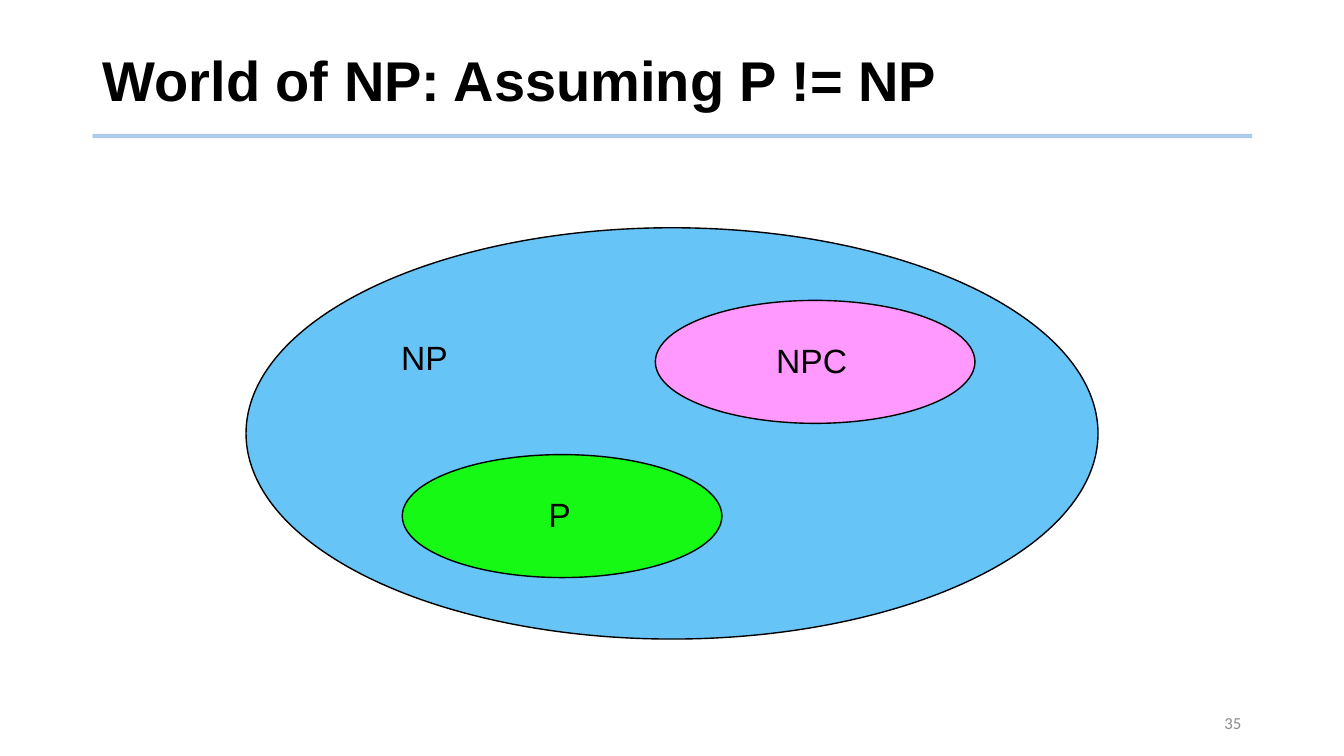
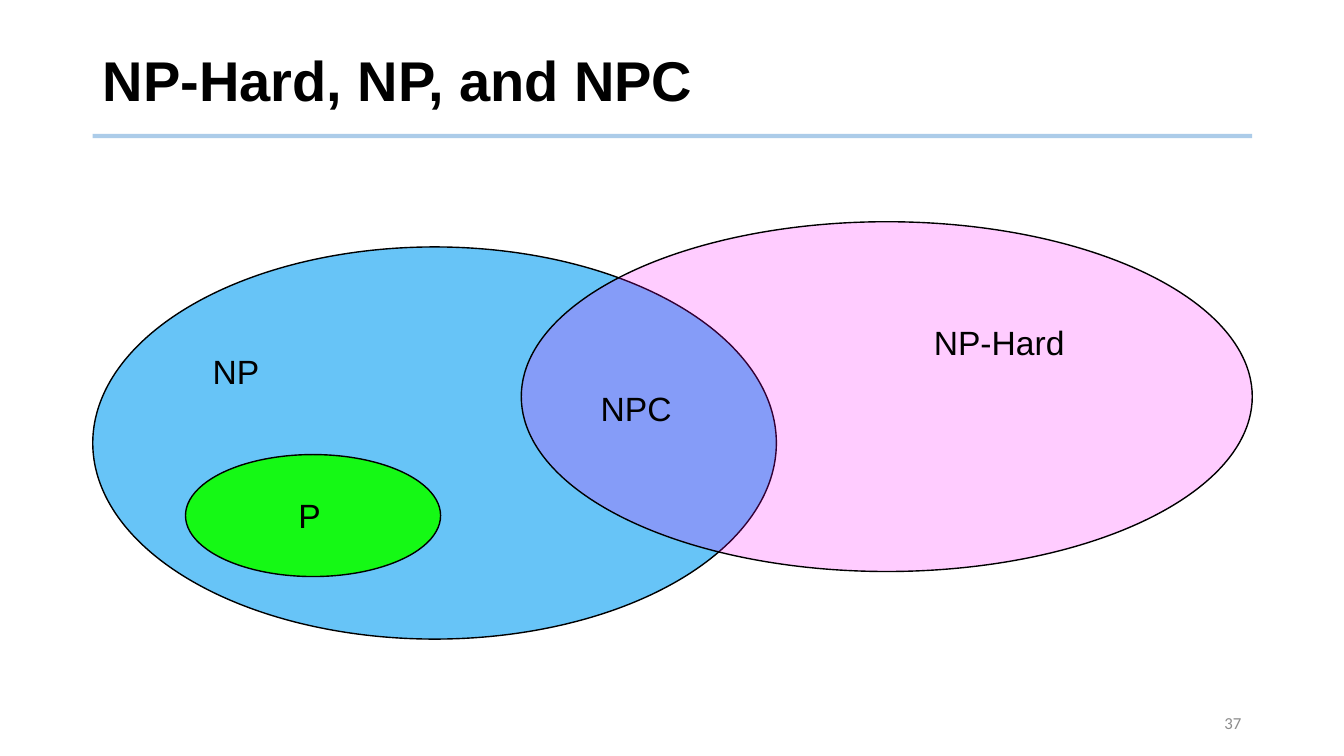
from lxml.etree import SubElement
from pptx import Presentation
from pptx.dml.color import RGBColor
from pptx.enum.shapes import MSO_CONNECTOR, MSO_SHAPE
from pptx.enum.text import MSO_ANCHOR, PP_ALIGN
from pptx.oxml.ns import qn
from pptx.util import Emu, Pt

# Shared style: 100 px to the inch
SCALE = 9144
PAGE_WIDTH, PAGE_HEIGHT = 1333, 750
LEFT, RIGHT = 92, 1242
BLACK = RGBColor(0x00, 0x00, 0x00)
GRAY = RGBColor(0x8C, 0x8C, 0x8C)
RULE_BLUE = RGBColor(0x5B, 0x9B, 0xD5)
SKY = RGBColor(0x67, 0xC4, 0xF7)
GREEN = RGBColor(0x15, 0xF9, 0x15)
PINK = RGBColor(0xFF, 0x99, 0xFF)
MAGENTA = RGBColor(0xFF, 0x00, 0xFF)

# Sets: (left, top, width, height), fill, opacity in percent
# Labels: text, centre x, centre y
SLIDES = [
    {
        "title": "World of NP: Assuming P != NP",
        "number": "35",
        "sets": [
            ((244, 226, 845, 408), SKY, 100),
            ((399, 451, 317, 122), GREEN, 100),
            ((650, 298, 317, 122), PINK, 100),
        ],
        "labels": [("NP", 421, 354), ("P", 555, 510), ("NPC", 805, 357)],
    },
    {
        "title": "NP-Hard, NP, and NPC",
        "number": "37",
        "sets": [
            ((92, 245, 678, 389), SKY, 100),
            ((184, 451, 253, 121), GREEN, 100),
            ((517, 220, 725, 347), MAGENTA, 20),
        ],
        "labels": [("NP", 234, 368), ("P", 307, 511),
                   ("NP-Hard", 991, 339), ("NPC", 631, 405)],
    },
]


def px(*lengths):
    return [Emu(length * SCALE) for length in lengths]


def set_opacity(fill_parent, percent):
    color = fill_parent.find(qn("a:solidFill")).find(qn("a:srgbClr"))
    SubElement(color, qn("a:alpha")).set("val", str(percent * 1000))


def write(frame, text, size, font="Arial", color=BLACK, align=PP_ALIGN.LEFT, bold=False):
    frame.vertical_anchor = MSO_ANCHOR.MIDDLE
    para = frame.paragraphs[0]
    para.alignment = align
    span = para.add_run()
    span.text = text
    span.font.name = font
    span.font.size = Pt(size)
    span.font.bold = bold
    span.font.color.rgb = color
    return para


def add_frame(page, title, number):
    # Rule under the title
    rule = page.shapes.add_connector(MSO_CONNECTOR.STRAIGHT, *px(LEFT, 135, RIGHT, 135))
    rule.line.color.rgb = RULE_BLUE
    rule.line.width = Pt(3)
    properties = rule.line._get_or_add_ln()
    set_opacity(properties, 50)
    SubElement(properties.getparent(), qn("a:effectLst"))

    # Title
    box = page.shapes.title
    box.left, box.top, box.width, box.height = px(LEFT, 28, RIGHT - LEFT, 110)
    write(box.text_frame, title, 40, bold=True).line_spacing = 0.9

    # Page number
    box = page.shapes.add_textbox(*px(1008, 697, 233, 40))
    box.text_frame.word_wrap = True
    write(box.text_frame, number, 12, "Calibri", GRAY, PP_ALIGN.RIGHT)


def add_set(page, bounds, color, opacity):
    ellipse = page.shapes.add_shape(MSO_SHAPE.OVAL, *px(*bounds))
    ellipse.shadow.inherit = False
    ellipse.fill.solid()
    ellipse.fill.fore_color.rgb = color
    if opacity < 100:
        set_opacity(ellipse._element.spPr, opacity)
    ellipse.line.color.rgb = BLACK
    ellipse.line.width = Pt(1)


def add_label(page, text, center_x, center_y):
    width, height = 160, 50
    box = page.shapes.add_textbox(
        *px(center_x - width // 2, center_y - height // 2, width, height))
    box.text_frame.word_wrap = True
    write(box.text_frame, text, 24, align=PP_ALIGN.CENTER)


def main():
    deck = Presentation()
    deck.slide_width, deck.slide_height = px(PAGE_WIDTH, PAGE_HEIGHT)
    title_only = deck.slide_layouts[5]
    for content in SLIDES:
        page = deck.slides.add_slide(title_only)
        add_frame(page, content["title"], content["number"])
        for item in content["sets"]:
            add_set(page, *item)
        for label in content["labels"]:
            add_label(page, *label)
    deck.save("out.pptx")


if __name__ == "__main__":
    main()
